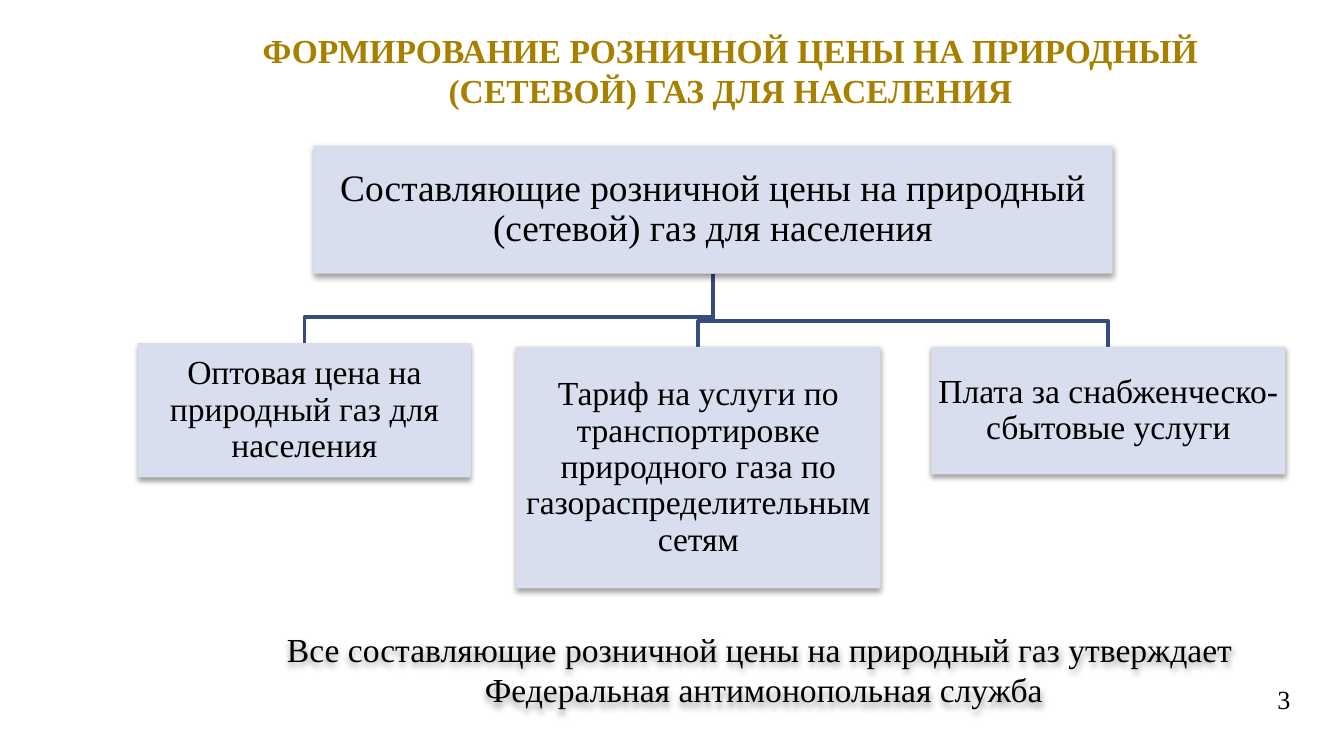
from lxml import etree
from pptx import Presentation
from pptx import util as u
from pptx.dml.color import RGBColor
from pptx.enum import shapes, text
from pptx.oxml import ns

HUES = {"gold": "A88000", "ink": "000000", "box": "D8DEED", "line": "384B7D"}


class Page:
    """Style and current slide."""
    face = "Times New Roman"

    def __init__(self, slide):
        self.items = slide.shapes

    def hue(self, name):
        return RGBColor.from_string(HUES[name])

    def shade(self, shape):
        """Soft shadow straight below the shape."""
        shape.shadow.inherit = False
        effects = shape._element.spPr.find(ns.qn("a:effectLst"))
        cast = etree.SubElement(effects, ns.qn("a:outerShdw"), blurRad=str(u.Pt(3.1)),
                                dist=str(u.Pt(1.6)), dir="5400000", rotWithShape="0")
        tint = etree.SubElement(cast, ns.qn("a:srgbClr"), val=HUES["ink"])
        etree.SubElement(tint, ns.qn("a:alpha"), val="38000")

    def fill_text(self, shape, lines, size, hue="ink", bold=False,
                  align=text.PP_ALIGN.CENTER, anchor=text.MSO_ANCHOR.MIDDLE, gap=None):
        frame = shape.text_frame
        frame.word_wrap = True
        frame.vertical_anchor = anchor
        frame.text = lines
        for para in frame.paragraphs:
            para.alignment = align
            para.line_spacing = gap
            font = para.font
            font.name, font.size, font.bold = self.face, u.Pt(size), bold
            font.color.rgb = self.hue(hue)

    def label(self, place, lines, size, **style):
        shape = self.items.add_textbox(*map(u.Pt, place))
        self.fill_text(shape, lines, size, **style)
        return shape

    def box(self, place, words, size):
        shape = self.items.add_shape(shapes.MSO_SHAPE.RECTANGLE, *map(u.Pt, place))
        shape.fill.solid()
        shape.fill.fore_color.rgb = self.hue("box")
        shape.line.fill.background()
        self.shade(shape)
        frame = shape.text_frame
        frame.margin_left = frame.margin_right = u.Pt(0.72)
        frame.margin_top = frame.margin_bottom = u.Pt(0.72)
        self.fill_text(shape, words, size, gap=0.9)

    def branch(self, top, child, drop=13.8):
        """Elbow line from the bottom of one box to the top of another."""
        x, y = top[0] + top[2] / 2, top[1] + top[3]
        end, low = child[0] + child[2] / 2, child[1]
        pen = self.items.build_freeform(u.Pt(x), u.Pt(y))
        bends = [(x, low - drop), (end, low - drop), (end, low)]
        pen.add_line_segments([(u.Pt(a), u.Pt(b)) for a, b in bends], close=False)
        shape = pen.convert_to_shape()
        shape.fill.background()
        shape.line.color.rgb = self.hue("line")
        shape.line.width = u.Pt(2)
        shape.shadow.inherit = False


def main():
    deck = Presentation()
    deck.slide_width, deck.slide_height = u.Pt(720), u.Pt(405)
    page = Page(deck.slides.add_slide(deck.slide_layouts[6]))

    # Page number and title
    page.label((663.8, 363.6, 34.6, 21.6), "3", 14, align=text.PP_ALIGN.RIGHT)
    page.label((85, 15.1, 612.7, 44.6),
               "ФОРМИРОВАНИЕ РОЗНИЧНОЙ ЦЕНЫ НА ПРИРОДНЫЙ (СЕТЕВОЙ) ГАЗ ДЛЯ НАСЕЛЕНИЯ",
               18, hue="gold", bold=True)

    # Price tree: lines first, boxes over them
    root = (168, 78, 428, 68.6)
    parts = [
        ((73.8, 183.8, 178.6, 72), "Оптовая цена на природный газ для населения"),
        ((276.4, 185.8, 195.4, 129.4), "Тариф на услуги по транспортировке природного "
                                       "газа по газораспределительным сетям"),
        ((499, 185.8, 189.6, 68.4), "Плата за снабженческо-сбытовые услуги"),
    ]
    for place, _ in reversed(parts):
        page.branch(root, place)
    page.box(root, "Составляющие розничной цены на природный (сетевой) газ для населения", 20)
    for place, words in parts:
        page.box(place, words, 18)

    # Closing note
    note = page.label((112.3, 333.4, 594, 51),
                      "Все составляющие розничной цены на природный газ утверждает \n"
                      "Федеральная антимонопольная служба", 18, anchor=text.MSO_ANCHOR.TOP)
    page.shade(note)

    deck.save("out.pptx")


if __name__ == "__main__":
    main()
